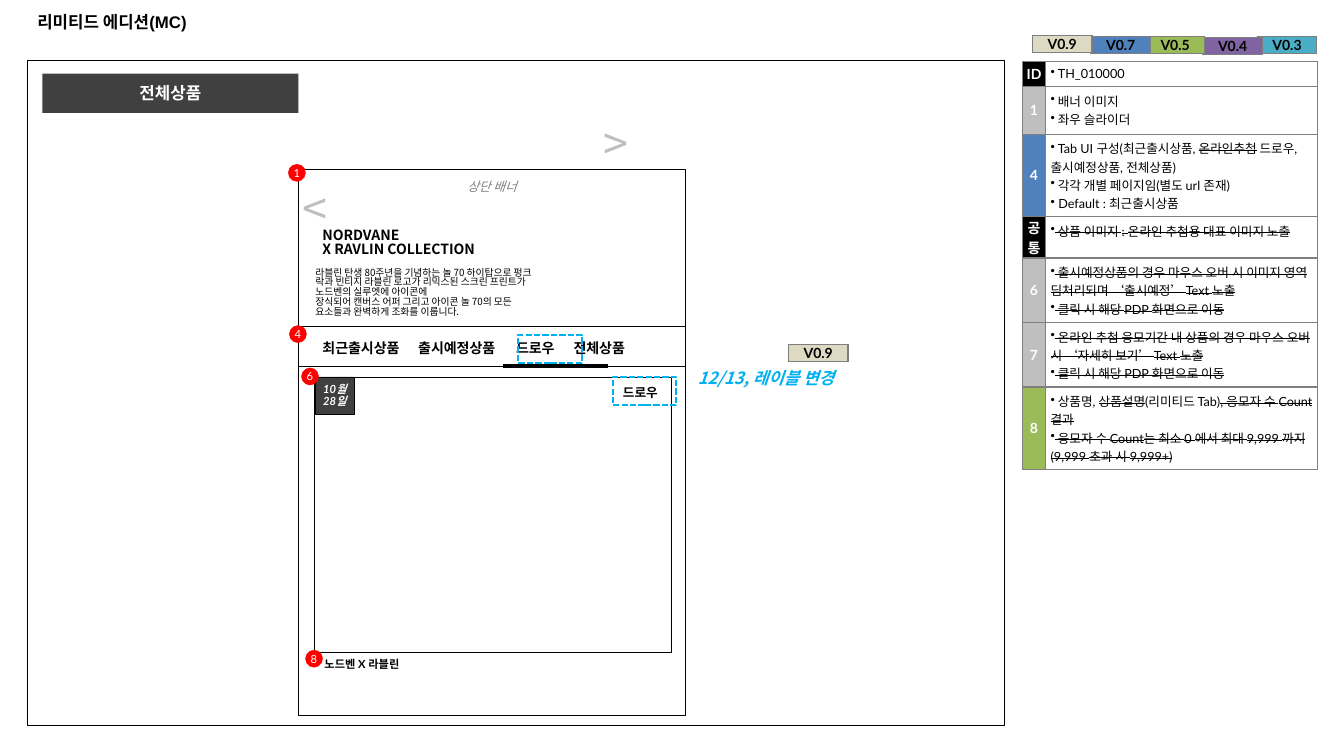
from lxml.etree import SubElement
from pptx import Presentation
from pptx.dml.color import RGBColor
from pptx.enum.dml import MSO_LINE
from pptx.enum.shapes import MSO_CONNECTOR, MSO_SHAPE
from pptx.enum.text import MSO_ANCHOR, PP_ALIGN
from pptx.oxml.ns import qn
from pptx.util import Inches, Pt

BLACK = RGBColor(0x00, 0x00, 0x00)
WHITE = RGBColor(0xFF, 0xFF, 0xFF)
DARK = RGBColor(0x40, 0x40, 0x40)
GREY = RGBColor(0x80, 0x80, 0x80)
SILVER = RGBColor(0xBF, 0xBF, 0xBF)
RED = RGBColor(0xFF, 0x00, 0x00)
SKY = RGBColor(0x00, 0xB0, 0xF0)
BLUE = RGBColor(0x4F, 0x81, 0xBD)
GREEN = RGBColor(0x9B, 0xBB, 0x59)
PURPLE = RGBColor(0x80, 0x64, 0xA2)
TEAL = RGBColor(0x4B, 0xAC, 0xC6)
SAND = RGBColor(0xDD, 0xD9, 0xC3)
BORDER_HEX = "7F7F7F"
LATO, ARIAL, KOREAN = "Lato", "Arial", "Noto Sans CJK KR"

# Version tags, back to front: label, left, top, colour
VERSIONS = [
    ("V0.3", 12.47, 0.36, TEAL),
    ("V0.4", 11.93, 0.37, PURPLE),
    ("V0.5", 11.36, 0.36, GREEN),
    ("V0.7", 10.82, 0.36, BLUE),
    ("V0.9", 10.24, 0.35, SAND),
    ("V0.9", 7.82, 3.42, SAND),
]

# Numbered markers: label, left, top
MARKERS = [("1", 2.86, 1.63), ("4", 2.87, 3.23), ("6", 2.99, 3.65), ("8", 3.03, 6.45)]

# Notes: label, colour, row height, items; text between ~ signs is struck through
NOTES = [
    ("ID", BLACK, 0.25, ["TH_010000"]),
    ("1", SILVER, 0.47, ["배너 이미지", "좌우 슬라이더"]),
    ("4", BLUE, 0.82, ["Tab UI 구성(최근출시상품, ~온라인추첨~ 드로우, 출시예정상품, 전체상품)",
                       "각각 개별 페이지임(별도 url 존재)", "Default : 최근출시상품"]),
    ("공통", BLACK, 0.41, ["~상품 이미지 : 온라인 추첨용 대표 이미지 노출~"]),
    ("6", SILVER, 0.64, ["~출시예정상품의 경우 마우스 오버 시 이미지 영역 딤처리되며 ‘출시예정’ Text 노출~",
                         "~클릭 시 해당 PDP 화면으로 이동~"]),
    ("7", SILVER, 0.64, ["~온라인 추첨 응모기간 내 상품의 경우 마우스 오버 시 ‘자세히 보기’ Text 노출~",
                         "~클릭 시 해당 PDP 화면으로 이동~"]),
    ("8", GREEN, 0.82, ["상품명, ~상품설명~(리미티드 Tab)~, 응모자 수 Count 결과~",
                        "~응모자 수 Count는 최소 0 에서 최대 9,999 까지(9,999 초과 시 9,999+)~"]),
]


def inches(*values):
    return [Inches(value) for value in values]


def set_all(target, values):
    for name, value in values.items():
        setattr(target, name, value)


def style_span(span, color=BLACK, size=10, name=LATO, **font):
    set_all(span.font, {"size": Pt(size), "name": name, **font})
    span.font.color.rgb = color
    SubElement(span._r.get_or_add_rPr(), qn("a:ea"), typeface=KOREAN)


def write(frame, lines, align=PP_ALIGN.LEFT, anchor=MSO_ANCHOR.TOP, inset=None,
          spacing=None, **font):
    """Fill a text frame with one paragraph for each line."""
    set_all(frame, {"word_wrap": True, "vertical_anchor": anchor})
    if inset is not None:
        for side in ("left", "top", "right", "bottom"):
            setattr(frame, "margin_" + side, Inches(inset))
    for index, line in enumerate(lines):
        para = frame.add_paragraph() if index else frame.paragraphs[0]
        para.alignment = align
        if spacing:
            para.line_spacing = spacing
        for part, piece in enumerate(line.split("\v")):
            if part:
                para.add_line_break()
            span = para.add_run()
            span.text = piece
            style_span(span, **font)


def add_label(page, place, lines, **style):
    box = page.shapes.add_textbox(*inches(*place))
    write(box.text_frame, lines, **style)
    return box


def add_box(page, place, fill=None, line=BLACK, width=0.25, kind=MSO_SHAPE.RECTANGLE):
    box = page.shapes.add_shape(kind, *inches(*place))
    box.shadow.inherit = False
    if fill is None:
        box.fill.background()
    else:
        box.fill.solid()
        box.fill.fore_color.rgb = fill
    if line is None:
        box.line.fill.background()
    else:
        box.line.color.rgb = line
        box.line.width = Pt(width)
    return box


def add_marker(page, label, left, top):
    dot = add_box(page, (left, top, 0.17, 0.17), RED, RED, kind=MSO_SHAPE.OVAL)
    write(dot.text_frame, [label], PP_ALIGN.CENTER, MSO_ANCHOR.MIDDLE, 0, color=WHITE, size=8)


def add_highlight(page, left, top):
    frame = add_box(page, (left, top, 0.63, 0.28), line=SKY, width=1.5)
    frame.line.dash_style = MSO_LINE.SQUARE_DOT


def add_grid(page, left, top, widths, heights):
    place = inches(left, top, sum(widths), sum(heights))
    grid = page.shapes.add_table(len(heights), len(widths), *place).table
    set_all(grid, {"first_row": False, "horz_banding": False})
    for column, width in zip(grid.columns, widths):
        column.width = Inches(width)
    for row, height in zip(grid.rows, heights):
        row.height = Inches(height)
    return grid


def style_cell(cell, fill, inset, anchor):
    sides = ("margin_left", "margin_top", "margin_right", "margin_bottom")
    set_all(cell, {"vertical_anchor": anchor, **dict.fromkeys(sides, Inches(inset))})
    properties = cell._tc.get_or_add_tcPr()
    for side in ("lnL", "lnR", "lnT", "lnB"):
        edge = SubElement(properties, qn("a:" + side), w=str(Pt(1)))
        SubElement(SubElement(edge, qn("a:solidFill")), qn("a:srgbClr"), val=BORDER_HEX)
    cell.fill.solid()
    cell.fill.fore_color.rgb = fill


def fill_label_cell(cell, label, fill, color):
    style_cell(cell, fill, 0, MSO_ANCHOR.MIDDLE)
    para = cell.text_frame.paragraphs[0]
    para.alignment = PP_ALIGN.CENTER
    span = para.add_run()
    span.text = label
    style_span(span, color, bold=True)


def fill_note_cell(cell, items):
    style_cell(cell, WHITE, 0.05, MSO_ANCHOR.TOP)
    for index, item in enumerate(items):
        para = cell.text_frame.add_paragraph() if index else cell.text_frame.paragraphs[0]
        settings = para._p.get_or_add_pPr()
        settings.set("marL", "0")
        settings.set("indent", "0")
        SubElement(settings, qn("a:buChar"), char="•")
        lead = " "
        for part, piece in enumerate(item.split("~")):
            if not piece:
                continue
            span = para.add_run()
            span.text = lead + piece
            lead = ""
            style_span(span, size=9, bold=False)
            if part % 2:
                span._r.get_or_add_rPr().set("strike", "sngStrike")


def add_tabs(page):
    names = ["최근출시상품", "출시예정상품", "드로우", "전체상품"]
    box = add_label(page, (3.1, 3.32, 3.5, 0.27), ["\t".join(names)], bold=True)
    settings = box.text_frame.paragraphs[0]._p.get_or_add_pPr()
    stops = SubElement(settings, qn("a:tabLst"))
    for offset in (0.95, 1.92, 2.49):
        SubElement(stops, qn("a:tab"), pos=str(Inches(offset)), algn="l")


def add_underline(page):
    line = page.shapes.add_connector(MSO_CONNECTOR.STRAIGHT, *inches(4.99, 3.63, 6.03, 3.63))
    line.line.color.rgb = BLACK
    line.line.width = Pt(3)
    SubElement(line._element.spPr, qn("a:effectLst"))


def main():
    deck = Presentation()
    deck.slide_width, deck.slide_height = inches(13.33, 7.5)
    page = deck.slides.add_slide(deck.slide_layouts[5])
    center, middle = PP_ALIGN.CENTER, MSO_ANCHOR.MIDDLE

    # Title and page frame
    title = page.shapes.title
    set_all(title, dict(zip(("left", "top", "width", "height"), inches(0.27, 0.07, 12.79, 0.39))))
    write(title.text_frame, ["리미티드 에디션(MC)"], size=12, name=ARIAL, bold=True)
    add_box(page, (0.27, 0.6, 9.69, 6.6), width=0.75)
    heading = add_box(page, (0.42, 0.73, 2.54, 0.39), DARK, None)
    write(heading.text_frame, ["전체상품"], center, middle, color=WHITE, size=12, name=ARIAL, bold=True)

    # Wireframe: banner, tab bar, list area, product card
    banner = add_box(page, (2.96, 1.68, 3.84, 1.56))
    write(banner.text_frame, ["상단 배너"], center, inset=0.09, color=GREY, size=9, italic=True)
    for place in ((2.96, 3.24, 3.84, 0.39), (2.96, 3.63, 3.84, 3.47), (3.12, 3.74, 3.54, 2.73)):
        add_box(page, place)
    add_underline(page)

    # Banner content
    for arrow, left, top in (("<", 2.9, 1.83), (">", 5.89, 1.18)):
        add_label(page, (left, top, 0.48, 0.64), [arrow], spacing=0.84, color=SILVER, size=32, name=KOREAN)
    add_label(page, (3.1, 2.26, 1.91, 0.3), ["NORDVANE", "X RAVLIN COLLECTION"],
              anchor=middle, spacing=0.84, name=KOREAN, bold=True)
    story = ("라블린 탄생 80주년을 기념하는 놀 70 하이탑으로 펑크 락과 빈티지 라블린 로고가 리믹스된 스크린 "
             "프린트가 노드벤의 실루엣에 아이콘에 \v장식되어 캔버스 어퍼 그리고 아이콘 놀 70의 모든 "
             "요소들과 완벽하게 조화를 이룹니다.")
    add_label(page, (3.03, 2.48, 2.35, 0.85), [story], anchor=middle, spacing=0.84, size=7, name=KOREAN)

    # Tabs and product card content
    add_tabs(page)
    date = add_box(page, (3.13, 3.74, 0.38, 0.37), DARK)
    write(date.text_frame, ["10월", "28일"], center, middle, 0.04, 0.9,
          color=WHITE, size=8, bold=True, italic=True)
    add_label(page, (6.08, 3.77, 0.7, 0.25), ["드로우"], size=9, name=KOREAN, bold=True)
    add_label(page, (3.12, 6.47, 3.54, 0.24), ["노드벤 X 라블린"], size=8, bold=True)
    for marker in MARKERS:
        add_marker(page, *marker)

    # Notes table
    notes = add_grid(page, 10.14, 0.61, [0.23, 2.7], [height for _, _, height, _ in NOTES])
    for row, (label, fill, _, items) in enumerate(NOTES):
        fill_label_cell(notes.cell(row, 0), label, fill, WHITE)
        fill_note_cell(notes.cell(row, 1), items)

    # Version tags and change note
    for label, left, top, fill in VERSIONS:
        tag = add_grid(page, left, top, [0.59], [0.17])
        fill_label_cell(tag.cell(0, 0), label, fill, BLACK)
    add_label(page, (6.82, 3.6, 1.8, 0.3), ["12/13, 레이블 변경"],
              color=SKY, size=12, name=KOREAN, bold=True, italic=True)
    for left, top in ((5.14, 3.32), (6.08, 3.74)):
        add_highlight(page, left, top)

    deck.save("out.pptx")


if __name__ == "__main__":
    main()
